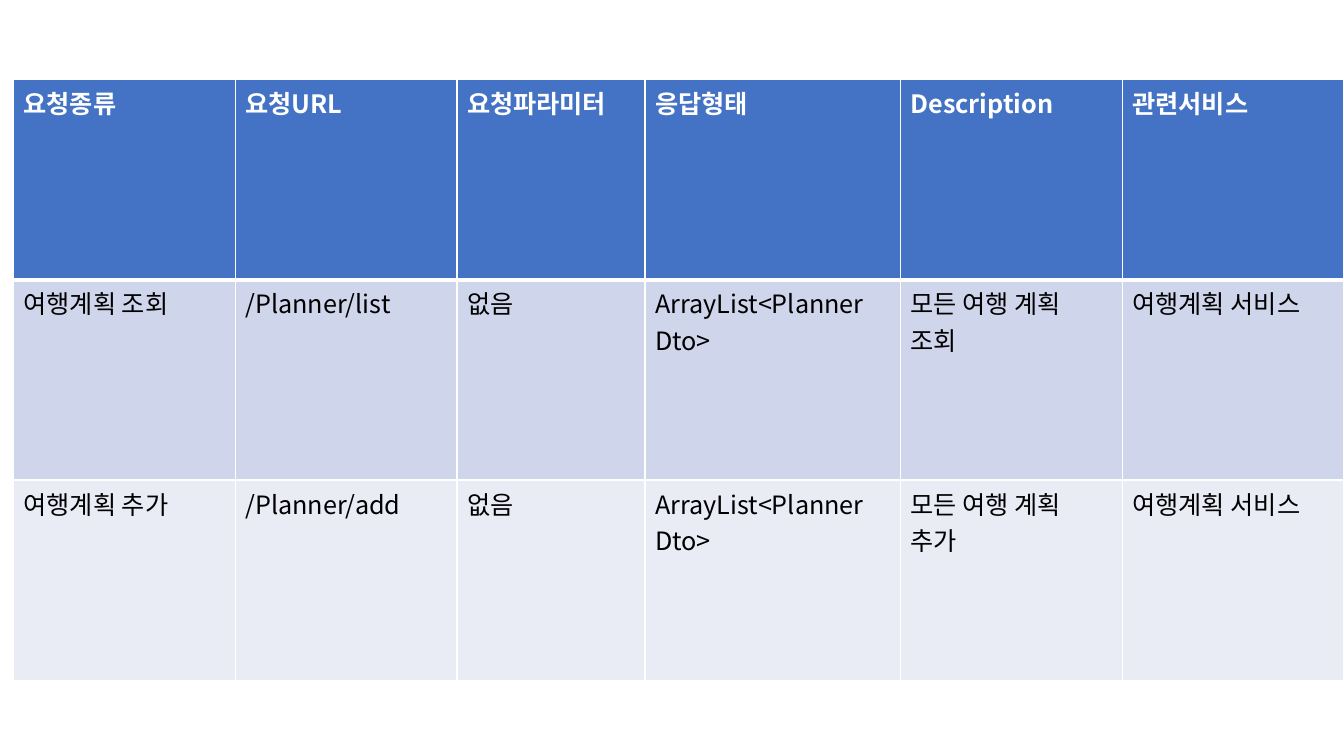
from dataclasses import dataclass

from lxml.etree import SubElement as Sub
from pptx import Presentation
from pptx.dml.color import RGBColor as Color
from pptx.oxml.ns import qn
from pptx.table import _Cell as Cell
from pptx.util import Inches, Pt

WHITE = Color(0xFF, 0xFF, 0xFF)
BLACK = Color(0x00, 0x00, 0x00)
BLUE = Color(0x44, 0x72, 0xC4)
MIST = Color(0xCF, 0xD5, 0xEA)
PALE = Color(0xE9, 0xEB, 0xF5)
FONT = "Noto Sans CJK KR"
WIDE, HIGH = Inches(13.33), Inches(7.5)
GRID = 200
LEFT, TOP, TALL = 2, 21, 53
SPANS = (33, 33, 28, 38, 33, 33)


@dataclass(frozen=True)
class Line:
    texts: tuple[str, ...]
    fill: Color
    ink: Color = BLACK
    bold: bool = False
    above: float = 1
    below: float = 1


LINES = (
    Line(("요청종류", "요청URL", "요청파라미터", "응답형태", "Description", "관련서비스"),
         BLUE, WHITE, True, below=3),
    Line(("여행계획 조회", "/Planner/list", "없음", "ArrayList<Planner Dto>",
          "모든 여행 계획 조회", "여행계획 서비스"), MIST, above=3),
    Line(("여행계획 추가", "/Planner/add", "없음", "ArrayList<Planner Dto>",
          "모든 여행 계획 추가", "여행계획 서비스"), PALE),
)


def across(cols: int) -> int:
    return round(WIDE * cols / GRID)


def down(rows: int) -> int:
    return round(HIGH * rows / GRID)


def write(cell: Cell, text: str, *, ink: Color, bold: bool, size: float = 18) -> None:
    run = cell.text_frame.paragraphs[0].add_run()
    run.text = text
    font = run.font
    font.name, font.size, font.bold = FONT, Pt(size), bold
    font.color.rgb = ink
    Sub(run._r.get_or_add_rPr(), qn("a:ea"), typeface=FONT)


def edge(cell: Cell, side: str, width: float) -> None:
    rule = Sub(cell._tc.get_or_add_tcPr(), qn(f"a:ln{side}"), w=str(Pt(width)))
    fill = Sub(rule, qn("a:solidFill"))
    Sub(fill, qn("a:srgbClr"), val=str(WHITE))


def paint(cell: Cell, text: str, line: Line) -> None:
    write(cell, text, ink=line.ink, bold=line.bold)
    for side, width in (("L", 1), ("R", 1), ("T", line.above), ("B", line.below)):
        edge(cell, side, width)
    cell.fill.solid()
    cell.fill.fore_color.rgb = line.fill


def main() -> None:
    deck = Presentation()
    deck.slide_width, deck.slide_height = WIDE, HIGH
    slide = deck.slides.add_slide(deck.slide_layouts[6])
    table = slide.shapes.add_table(
        len(LINES), len(SPANS), across(LEFT), down(TOP),
        across(sum(SPANS)), down(TALL * len(LINES))).table
    for col, span in zip(table.columns, SPANS):
        col.width = across(span)
    for row, line in zip(table.rows, LINES):
        row.height = down(TALL)
        for cell, text in zip(row.cells, line.texts):
            paint(cell, text, line)
    deck.save("out.pptx")


if __name__ == "__main__":
    main()
